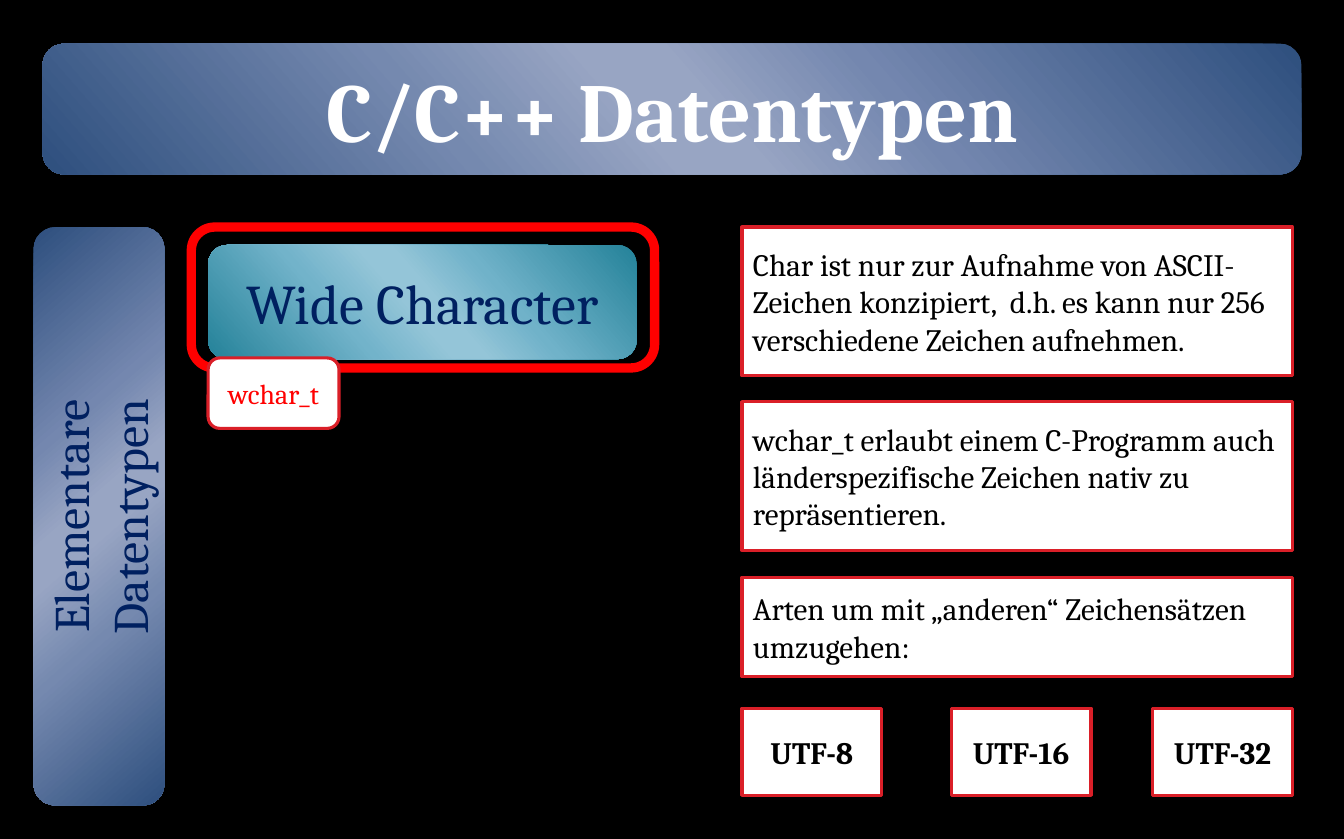
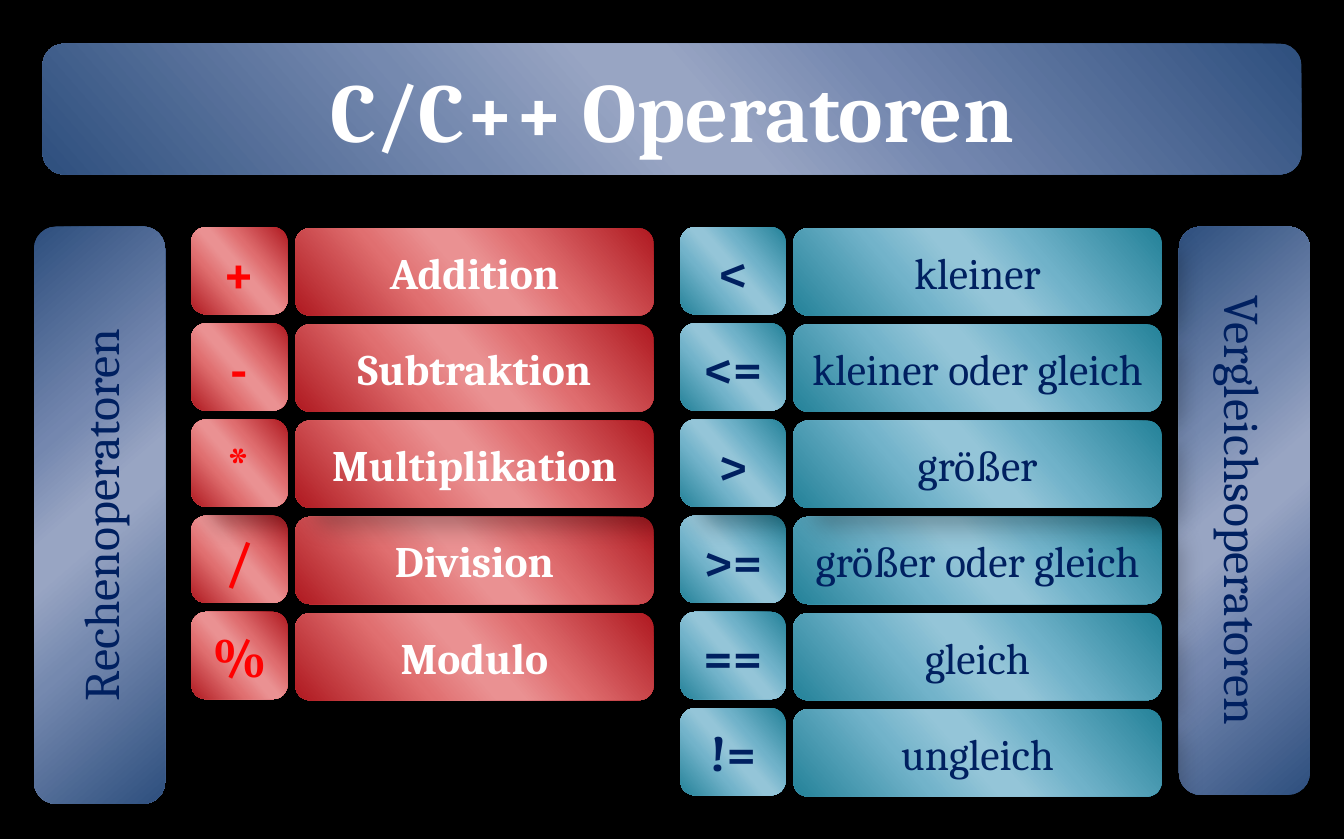
from dataclasses import dataclass

from lxml import etree
from pptx import Presentation
from pptx import util as u
from pptx.dml.color import RGBColor
from pptx.enum import shapes, text
from pptx.oxml.ns import qn

SCALE = 9144
FACE = "Cambria"
BLACK, WHITE, NAVY, RED, EDGE = "000000", "FFFFFF", "002060", "FF0000", "DA1F28"
STOPS = (0, 33, 47, 53, 68, 100)
BLUE = ("2E4F7E", "7487AF", "98A5C3", "98A5C3", "7589AF", "2E4F7E")
TEAL = ("248299", "70B2C9", "94C5D8", "94C5D8", "72B3CA", "248299")
ROSE = ("AF1920", "DF6D6F", "EA9192", "EA9192", "E06F70", "AF1920")
ROUND = shapes.MSO_SHAPE.ROUNDED_RECTANGLE
RECT = shapes.MSO_SHAPE.RECTANGLE
MID, LEFT = text.PP_ALIGN.CENTER, text.PP_ALIGN.LEFT
TOP, STEP, HIGH = 203, 86, 78
ORDER = (0, 1, 3, 2, 4, 5)


@dataclass(frozen=True)
class Box:
    x: int
    y: int
    w: int
    h: int


@dataclass(frozen=True)
class Look:
    ink: str = BLACK
    size: int = 20
    bold: bool = False
    blend: tuple[str, ...] = ()
    fill: str = ""
    edge: str = ""
    width: int = 2
    form: int = ROUND
    align: int = MID


@dataclass(frozen=True)
class Column:
    x: int
    y: int
    w: int
    look: Look
    words: tuple[str, ...]


HEAD = Look(WHITE, 54, True, BLUE)
SIDE = Look(NAVY, 32, blend=BLUE)
TOPIC = Look(NAVY, 36, blend=TEAL)
RING = Look(edge=RED, width=6)
TAG = Look(RED, 18, fill=WHITE, edge=EDGE)
NOTE = Look(fill=WHITE, edge=EDGE, form=RECT, align=LEFT)
CODE = Look(bold=True, fill=WHITE, edge=EDGE, form=RECT)

NOTES = (
    (Box(663, 203, 492, 133), "Char ist nur zur Aufnahme von ASCII-Zeichen konzipiert,  d.h. "
     "es kann nur 256 verschiedene Zeichen aufnehmen."),
    (Box(663, 359, 492, 133), "wchar_t erlaubt einem C-Programm auch länderspezifische "
     "Zeichen nativ zu repräsentieren."),
    (Box(663, 516, 492, 89), "Arten um mit „anderen“ Zeichensätzen umzugehen:"),
)
CODES = ((663, "UTF-8"), (850, "UTF-16"), (1030, "UTF-32"))
MATH = (
    Column(171, TOP, 86, Look(RED, 36, True, ROSE), ("+", "-", "*", "/", "%")),
    Column(264, TOP + 1, 320, Look(WHITE, 28, True, ROSE),
           ("Addition", "Subtraktion", "Multiplikation", "Division", "Modulo")),
)
TESTS = (
    Column(608, TOP, 94, Look(NAVY, 32, True, TEAL), ("<", "<=", ">", ">=", "==", "!=")),
    Column(709, TOP + 1, 329, Look(NAVY, 28, blend=TEAL),
           ("kleiner", "kleiner oder gleich", "größer", "größer oder gleich",
            "gleich", "ungleich")),
)


def px(n: int) -> u.Emu:
    return u.Emu(n * SCALE)


def rgb(code: str) -> RGBColor:
    return RGBColor.from_string(code)


def add(root, tag: str, **vals):
    return etree.SubElement(root, qn(tag), {k: str(v) for k, v in vals.items()})


def blend(shape, hues: tuple[str, ...]) -> None:
    shape.fill.gradient()
    shape.fill.gradient_angle = 221
    props = shape.fill._xPr
    stops = props.find(".//" + qn("a:gsLst"))
    for old in list(stops):
        stops.remove(old)
    for pos, hue in zip(STOPS, hues):
        add(add(stops, "a:gs", pos=pos * 1000), "a:srgbClr", val=hue)
    cast = add(props.find(qn("a:effectLst")), "a:outerShdw", blurRad=190500,
               dist=228600, dir=2700000, sy=90000, rotWithShape=0)
    add(add(cast, "a:srgbClr", val=BLACK), "a:alpha", val=25500)


def draw(slide, box: Box, look: Look, words: str = "", turn: int = 0):
    shape = slide.shapes.add_shape(look.form, px(box.x), px(box.y), px(box.w), px(box.h))
    shape.shadow.inherit = False
    shape.rotation = turn
    if look.blend:
        blend(shape, look.blend)
    elif look.fill:
        shape.fill.solid()
        shape.fill.fore_color.rgb = rgb(look.fill)
    else:
        shape.fill.background()
    if look.edge:
        shape.line.color.rgb = rgb(look.edge)
        shape.line.width = u.Pt(look.width)
    else:
        shape.line.fill.background()
    if words:
        write(shape.text_frame, look, words)


def write(frame, look: Look, words: str) -> None:
    frame.word_wrap = True
    frame.vertical_anchor = text.MSO_ANCHOR.MIDDLE
    frame.text = words
    style = {"name": FACE, "size": u.Pt(look.size), "bold": look.bold}
    for para in frame.paragraphs:
        para.alignment = look.align
        for run in para.runs:
            for key, val in style.items():
                setattr(run.font, key, val)
            run.font.color.rgb = rgb(look.ink)


def side(slide, box: Box, words: str, turn: int = 270) -> None:
    shift = (box.h - box.w) // 2
    draw(slide, Box(box.x - shift, box.y + shift, box.h, box.w), SIDE, words, turn)


def stack(slide, col: Column) -> None:
    for row in ORDER:
        if row < len(col.words):
            box = Box(col.x, col.y + row * STEP, col.w, HIGH)
            draw(slide, box, col.look, col.words[row])


def start(deck):
    slide = deck.slides.add_slide(deck.slide_layouts[6])
    slide.background.fill.solid()
    slide.background.fill.fore_color.rgb = rgb(BLACK)
    return slide


def title(slide, words: str) -> None:
    draw(slide, Box(38, 39, 1125, 117), HEAD, words)


def types(deck) -> None:
    slide = start(deck)
    title(slide, "C/C++ Datentypen")
    side(slide, Box(30, TOP, 117, 517), "Elementare\nDatentypen")
    draw(slide, Box(186, 219, 383, 102), TOPIC, "Wide Character")
    draw(slide, Box(171, TOP, 414, 126), RING)
    draw(slide, Box(186, 320, 117, 63), TAG, "wchar_t")
    for box, words in NOTES:
        draw(slide, box, NOTE, words)
    for x, words in CODES:
        draw(slide, Box(x, 633, 125, HIGH), CODE, words)


def signs(deck) -> None:
    slide = start(deck)
    side(slide, Box(30, TOP, 117, 516), "Rechenoperatoren")
    side(slide, Box(1053, TOP, 117, 508), "Vergleichsoperatoren", 90)
    title(slide, "C/C++ Operatoren")
    for col in MATH + TESTS:
        stack(slide, col)


def main() -> None:
    deck = Presentation()
    deck.slide_width, deck.slide_height = px(1201), px(750)
    types(deck)
    signs(deck)
    deck.save("out.pptx")


if __name__ == "__main__":
    main()
